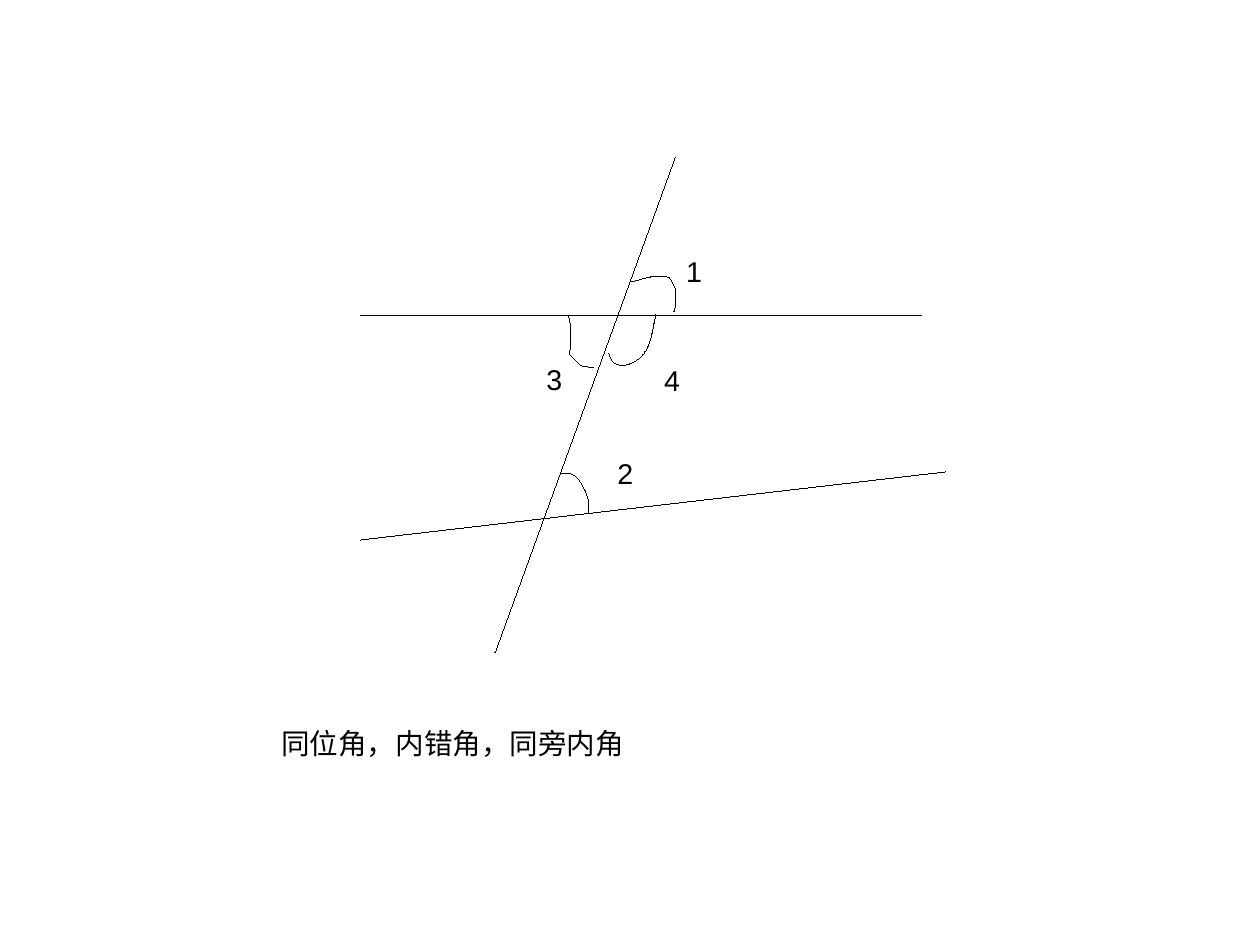
from math import comb

from pptx import Presentation
from pptx.dml.color import RGBColor as Rgb
from pptx.enum.shapes import MSO_CONNECTOR as Connector
from pptx.enum.text import MSO_AUTO_SIZE as AutoSize
from pptx.oxml.ns import qn
from pptx.util import Emu, Pt
from lxml.etree import SubElement

PX = 8000
HAIRLINE = Emu(1)
COLORS = {"ink": "000000", "paper": "FFFFFF"}
FONT = {"name": "Arial", "size": Pt(18)}
FRAME = {"word_wrap": False, "auto_size": AutoSize.SHAPE_TO_FIT_TEXT}
CURVE_STEPS = 12

LINES = [((0, 157), (562, 157)), ((0, 382), (585, 314)), ((315, 0), (135, 495))]
LABELS = {"1": (315, 90), "2": (246, 292), "3": (175, 198), "4": (293, 199)}
ANGLE_MARKS = [
    [(271, 124), [(284, 121), (297, 115), (310, 120)],
     [(316, 131)], [(316, 145)], [(314, 154)]],
    [(202, 316), [(218, 311), (225, 331), (229, 343)], [(229, 356)]],
    [(209, 159), [(212, 171), (210, 184), (210, 196)],
     [(222, 208)], [(234, 210)]],
    [(296, 156), [(293, 169), (292, 183), (285, 194)],
     [(278, 205), (254, 217), (249, 195)]],
]


def set_values(target, values):
    for name, value in values.items():
        setattr(target, name, value)


def emu(*lengths):
    return [round(length * PX) for length in lengths]


def ink_line(shape):
    shape.line.color.rgb = Rgb.from_string(COLORS["ink"])
    shape.line.width = HAIRLINE


def bezier_point(points, t):
    degree = len(points) - 1
    weights = [comb(degree, i) * t**i * (1 - t) ** (degree - i) for i in range(degree + 1)]
    return [sum(w * point[axis] for w, point in zip(weights, points)) for axis in (0, 1)]


def trace(start, segments):
    outline = [start]
    for segment in segments:
        controls = [outline[-1], *segment]
        steps = CURVE_STEPS if len(segment) > 1 else 1
        outline += [bezier_point(controls, i / steps) for i in range(1, steps + 1)]
    return outline


def add_text(page, box, text):
    frame = page.shapes.add_textbox(*emu(*box)).text_frame
    set_values(frame, FRAME)
    span = frame.paragraphs[0].add_run()
    span.text = text
    set_values(span.font, FONT)
    span.font.color.rgb = Rgb.from_string(COLORS["ink"])


def add_straight_line(page, start, end):
    line = page.shapes.add_connector(Connector.STRAIGHT, *emu(*start, *end))
    ink_line(line)
    SubElement(line._element.spPr, qn("a:effectLst"))


def add_angle_mark(page, outline):
    start, *rest = [emu(*point) for point in outline]
    builder = page.shapes.build_freeform(*start, scale=1.0)
    builder.add_line_segments(rest, close=False)
    mark = builder.convert_to_shape()
    mark.shadow.inherit = False
    mark.fill.background()
    ink_line(mark)


def add_diagram(page, box):
    left, top = box

    def place(point):
        return left + point[0], top + point[1]

    for start, end in LINES:
        add_straight_line(page, place(start), place(end))
    for start, *segments in ANGLE_MARKS:
        add_angle_mark(page, [place(point) for point in trace(start, segments)])
    for text, corner in LABELS.items():
        add_text(page, (*place(corner), 39, 43), text)


def main():
    deck = Presentation()
    deck.slide_width, deck.slide_height = emu(1260, 945)
    page = deck.slides.add_slide(deck.slide_layouts[6])
    page.background.fill.solid()
    page.background.fill.fore_color.rgb = Rgb.from_string(COLORS["paper"])
    add_diagram(page, (360, 158))
    add_text(page, (270, 720, 366, 53), "同位角，内错角，同旁内角")
    deck.save("out.pptx")


if __name__ == "__main__":
    main()
